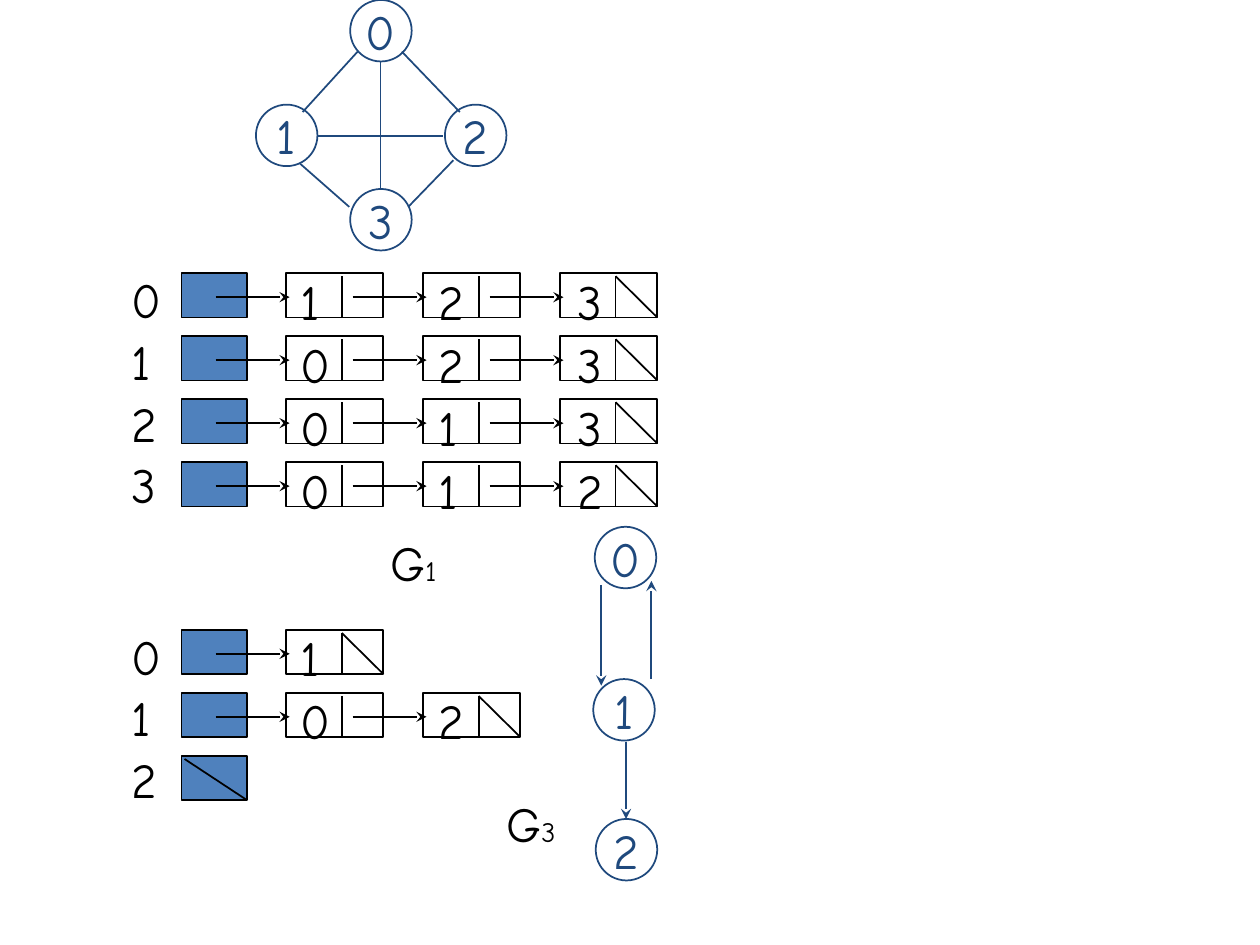
from lxml.etree import SubElement
from pptx import Presentation
from pptx.dml.color import RGBColor
from pptx.enum.shapes import MSO_CONNECTOR, MSO_SHAPE as SHAPE
from pptx.enum.text import MSO_ANCHOR as ANCHOR, MSO_AUTO_SIZE as AUTO, PP_ALIGN as ALIGN
from pptx.oxml.ns import qn
from pptx.util import Cm, Pt

BLACK = RGBColor(0x00, 0x00, 0x00)
WHITE = RGBColor(0xFF, 0xFF, 0xFF)
NAVY = RGBColor(0x1F, 0x49, 0x7D)
BLUE = RGBColor(0x4F, 0x81, 0xBD)

# Lengths in centimetres
HEAD_LEFT, HEAD_WIDTH = 3.66, 1.32
NODE_LEFT, NODE_WIDTH, NODE_PITCH = 5.77, 1.96, 2.76
DIGIT_LEFT, DIGIT_PITCH = 5.81, 2.79
CELL_HEIGHT, ROW_PITCH = 0.89, 1.27
DIVIDER, INSET = 1.12, 0.06
DIAMETER = 1.24

deck = Presentation()
deck.slide_width, deck.slide_height = Cm(25.4), Cm(19.05)
page = deck.slides.add_slide(deck.slide_layouts[6])


def add_line(shapes, ends, color, arrow=False):
    line = shapes.add_connector(MSO_CONNECTOR.STRAIGHT, *[Cm(v) for v in ends])
    line.line.color.rgb = color
    line.line.width = Pt(1)
    properties = line.element.spPr
    if arrow:
        SubElement(properties.find(qn("a:ln")), qn("a:tailEnd"), type="stealth")
    SubElement(properties, qn("a:effectLst"))


def add_text(left, top, width, height, text, spacing=None):
    box = page.shapes.add_textbox(Cm(left), Cm(top), Cm(width), Cm(height))
    frame = box.text_frame
    frame.word_wrap = spacing is not None
    frame.auto_size = AUTO.SHAPE_TO_FIT_TEXT
    frame.text = text
    for para in frame.paragraphs:
        para.line_spacing = spacing
        para.font.name, para.font.size = "Comic Neue", Pt(28)
        para.font.color.rgb = BLACK
    return frame.paragraphs[0]


# Adjacency lists: top of the first row, neighbours of each vertex
lists = [
    (5.51, ["123", "023", "013", "012"]),
    (12.7, ["1", "02", ""]),
]
for first_top, rows in lists:
    for row, neighbours in enumerate(rows):
        top = first_top + row * ROW_PITCH
        bottom = top + CELL_HEIGHT
        head = page.shapes.add_shape(SHAPE.RECTANGLE, Cm(HEAD_LEFT), Cm(top),
                                     Cm(HEAD_WIDTH), Cm(CELL_HEIGHT))
        head.shadow.inherit = False
        head.fill.solid()
        head.fill.fore_color.rgb = BLUE
        head.line.color.rgb = BLACK
        head.line.width = Pt(1)

        # Linked nodes, each with an incoming arrow
        for column, digit in enumerate(neighbours):
            left = NODE_LEFT + column * NODE_PITCH
            group = page.shapes.add_group_shape().shapes
            node = group.add_shape(SHAPE.RECTANGLE, Cm(left), Cm(top),
                                   Cm(NODE_WIDTH), Cm(CELL_HEIGHT))
            node.shadow.inherit = False
            node.fill.background()
            node.line.color.rgb = BLACK
            node.line.width = Pt(1)
            split = left + DIVIDER
            add_line(group, (split, top + INSET, split, bottom), BLACK)
            middle = top + 0.48
            add_line(page.shapes, (left - 1.42, middle, left + 0.07, middle), BLACK, True)
            add_text(DIGIT_LEFT + column * DIGIT_PITCH, top - 0.17, 1.02, 1.45, digit)

        # Diagonal marks the end of the list
        if neighbours:
            ends = (split, top + INSET, left + NODE_WIDTH, bottom)
        else:
            ends = (HEAD_LEFT + INSET, top + INSET, HEAD_LEFT + HEAD_WIDTH, bottom)
        add_line(page.shapes, ends, BLACK)

    # Vertex numbers beside the rows
    numbers = "\n".join(str(row) for row in range(len(rows)))
    add_text(2.41, first_top - 0.26, 1.02, 1.3 * len(rows), numbers, spacing=1.05)

# Graph names
for left, top, index in [(7.62, 10.62, "1"), (9.96, 15.88, "3")]:
    span = add_text(left, top, 1.5, 1.45, "G").add_run()
    span.text = index
    span.font.size = Pt(16)

# Graph vertices
vertices = [
    (7.06, 0, "0"), (5.16, 2.11, "1"), (8.97, 2.11, "2"), (7.06, 3.81, "3"),
    (11.99, 10.62, "0"), (11.96, 13.69, "1"), (12.01, 16.51, "2"),
]
for left, top, digit in vertices:
    vertex = page.shapes.add_shape(SHAPE.OVAL, Cm(left), Cm(top), Cm(DIAMETER), Cm(DIAMETER))
    vertex.shadow.inherit = False
    vertex.fill.solid()
    vertex.fill.fore_color.rgb = WHITE
    vertex.line.color.rgb = NAVY
    vertex.line.width = Pt(1)
    frame = vertex.text_frame
    frame.word_wrap = False
    frame.vertical_anchor = ANCHOR.MIDDLE
    frame.text = digit
    para = frame.paragraphs[0]
    para.alignment = ALIGN.CENTER
    para.font.name, para.font.size = "Comic Neue", Pt(28)
    para.font.color.rgb = NAVY

# Undirected edges of G1
for ends in [
    (7.67, 1.24, 7.67, 3.78), (6.4, 2.74, 8.94, 2.74),
    (7.21, 1.04, 6.1, 2.26), (8.1, 1.04, 9.27, 2.26),
    (6.05, 3.3, 7.04, 4.17), (9.14, 3.23, 8.23, 4.17),
]:
    add_line(page.shapes, ends, NAVY)

# Directed edges of G3
for ends in [
    (12.62, 14.96, 12.62, 16.51),
    (13.13, 13.69, 13.13, 11.71),
    (12.12, 11.79, 12.12, 13.82),
]:
    add_line(page.shapes, ends, NAVY, True)

deck.save("out.pptx")
